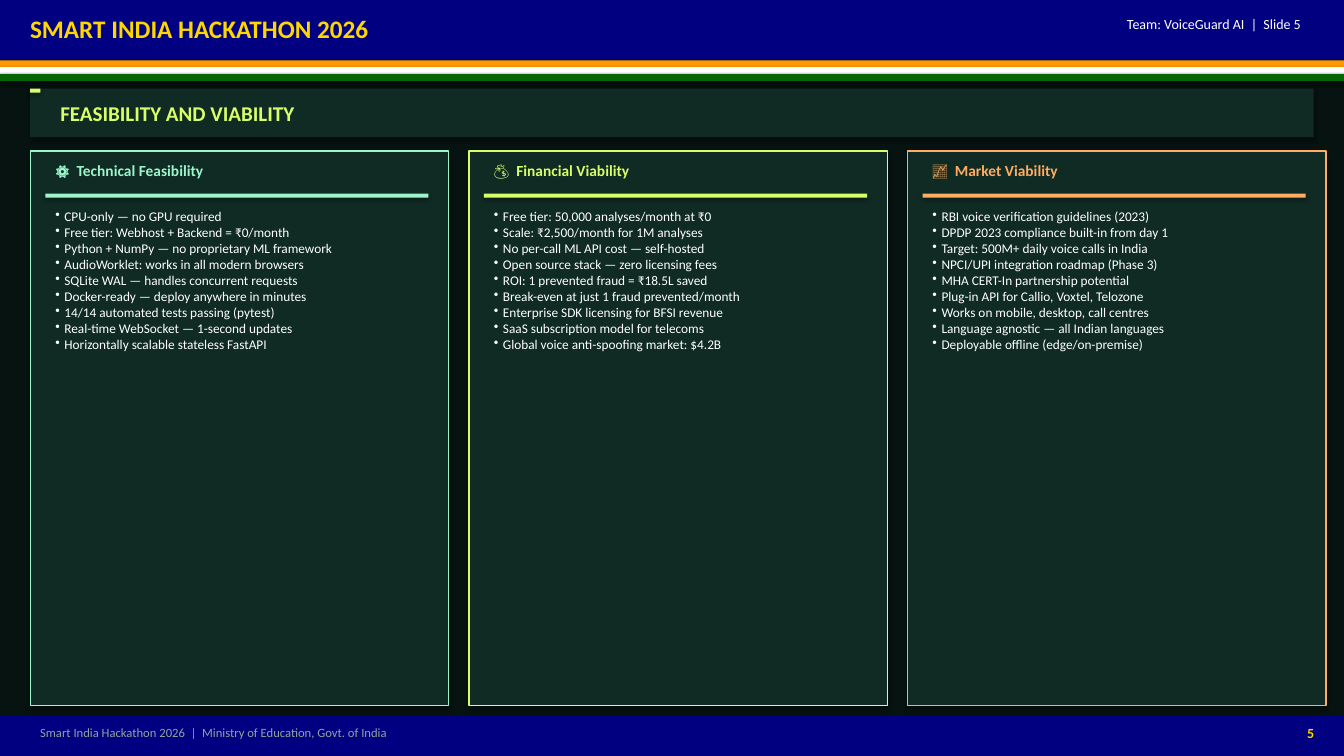
import pptx
import pptx.dml.color
import pptx.enum.shapes
import pptx.enum.text
import pptx.oxml
import pptx.util
from pptx.util import Inches

ALIGN = pptx.enum.text.PP_ALIGN
NAVY, GOLD, WHITE = "000080", "FFD700", "FFFFFF"
PANEL, LIME, MINT, ORANGE = "102B24", "D8FF68", "9DF5CC", "FFAD62"
BULLET_INDENT = Inches(0.09)

presentation = pptx.Presentation()
presentation.slide_width = Inches(13.33)
presentation.slide_height = Inches(7.5)
slide = presentation.slides.add_slide(presentation.slide_layouts[6])
rgb = pptx.dml.color.RGBColor.from_string
slide.background.fill.solid()
slide.background.fill.fore_color.rgb = rgb("071311")


def add_bar(left, top, width, height, color, outline=None):
    """Add a filled rectangle that keeps the theme's soft shadow."""
    bar = slide.shapes.add_shape(
        pptx.enum.shapes.MSO_SHAPE.RECTANGLE,
        Inches(left), Inches(top), Inches(width), Inches(height))
    bar.fill.solid()
    bar.fill.fore_color.rgb = rgb(color)
    if outline:
        bar.line.color.rgb = rgb(outline)
        bar.line.width = pptx.util.Pt(1)
    else:
        bar.line.fill.background()


def add_text(left, top, width, height, lines, size, color,
             bold=False, align=ALIGN.LEFT, bulleted=False):
    box = slide.shapes.add_textbox(
        Inches(left), Inches(top), Inches(width), Inches(height))
    frame = box.text_frame
    frame.word_wrap = True
    frame.auto_size = pptx.enum.text.MSO_AUTO_SIZE.SHAPE_TO_FIT_TEXT
    frame.text = "\n".join(lines)
    for paragraph in frame.paragraphs:
        paragraph.alignment = align
        if bulleted:
            properties = paragraph._p.get_or_add_pPr()
            properties.set("marL", str(BULLET_INDENT))
            properties.set("indent", str(-BULLET_INDENT))
            properties.append(pptx.oxml.parse_xml(
                '<a:buChar xmlns:a="http://schemas.openxmlformats.org/'
                'drawingml/2006/main" char="•"/>'))
        paragraph.font.name = "Calibri"
        paragraph.font.size = pptx.util.Pt(size)
        paragraph.font.bold = bold
        paragraph.font.color.rgb = rgb(color)


# Header with tricolour stripes
add_bar(0, 0, 13.33, 0.6, NAVY)
add_text(0.2, 0.08, 9, 0.42, ["SMART INDIA HACKATHON 2026"], 18, GOLD, bold=True)
add_text(8, 0.1, 5, 0.35, ["Team: VoiceGuard AI  |  Slide 5"], 10, WHITE,
         align=ALIGN.RIGHT)
for stripe, stripe_color in enumerate(["FF9900", WHITE, "046604"]):
    add_bar(0, 0.6 + stripe * 0.2 / 3, 13.33, 0.07, stripe_color)

# Section title
add_bar(0.3, 0.88, 12.73, 0.48, PANEL)
add_bar(0.3, 0.88, 0.1, 0.04, LIME)
add_text(0.5, 0.95, 12, 0.36, ["FEASIBILITY AND VIABILITY"], 15, LIME, bold=True)

# Three viability columns
columns = [
    ("⚙  Technical Feasibility", MINT, [
        "CPU-only — no GPU required",
        "Free tier: Webhost + Backend = ₹0/month",
        "Python + NumPy — no proprietary ML framework",
        "AudioWorklet: works in all modern browsers",
        "SQLite WAL — handles concurrent requests",
        "Docker-ready — deploy anywhere in minutes",
        "14/14 automated tests passing (pytest)",
        "Real-time WebSocket — 1-second updates",
        "Horizontally scalable stateless FastAPI",
    ]),
    ("💰  Financial Viability", LIME, [
        "Free tier: 50,000 analyses/month at ₹0",
        "Scale: ₹2,500/month for 1M analyses",
        "No per-call ML API cost — self-hosted",
        "Open source stack — zero licensing fees",
        "ROI: 1 prevented fraud = ₹18.5L saved",
        "Break-even at just 1 fraud prevented/month",
        "Enterprise SDK licensing for BFSI revenue",
        "SaaS subscription model for telecoms",
        "Global voice anti-spoofing market: $4.2B",
    ]),
    ("📈  Market Viability", ORANGE, [
        "RBI voice verification guidelines (2023)",
        "DPDP 2023 compliance built-in from day 1",
        "Target: 500M+ daily voice calls in India",
        "NPCI/UPI integration roadmap (Phase 3)",
        "MHA CERT-In partnership potential",
        "Plug-in API for Callio, Voxtel, Telozone",
        "Works on mobile, desktop, call centres",
        "Language agnostic — all Indian languages",
        "Deployable offline (edge/on-premise)",
    ]),
]
for index, (heading, accent, points) in enumerate(columns):
    column_left = 0.3 + index * 4.35
    content_left = column_left + 0.15
    add_bar(column_left, 1.5, 4.15, 5.5, PANEL, outline=accent)
    add_text(content_left, 1.55, 3.8, 0.34, [heading], 11, accent, bold=True)
    add_bar(content_left, 1.92, 3.8, 0.04, accent)
    add_text(content_left, 2.02, 3.85, 4.8, points, 9.5, WHITE, bulleted=True)

# Footer
add_bar(0, 7.1, 13.33, 0.4, NAVY)
add_text(0.3, 7.14, 10, 0.28,
         ["Smart India Hackathon 2026  |  Ministry of Education, Govt. of India"],
         9, "8DA69E")
add_text(12.8, 7.14, 0.4, 0.28, ["5"], 10, GOLD, bold=True, align=ALIGN.CENTER)

presentation.save("out.pptx")
